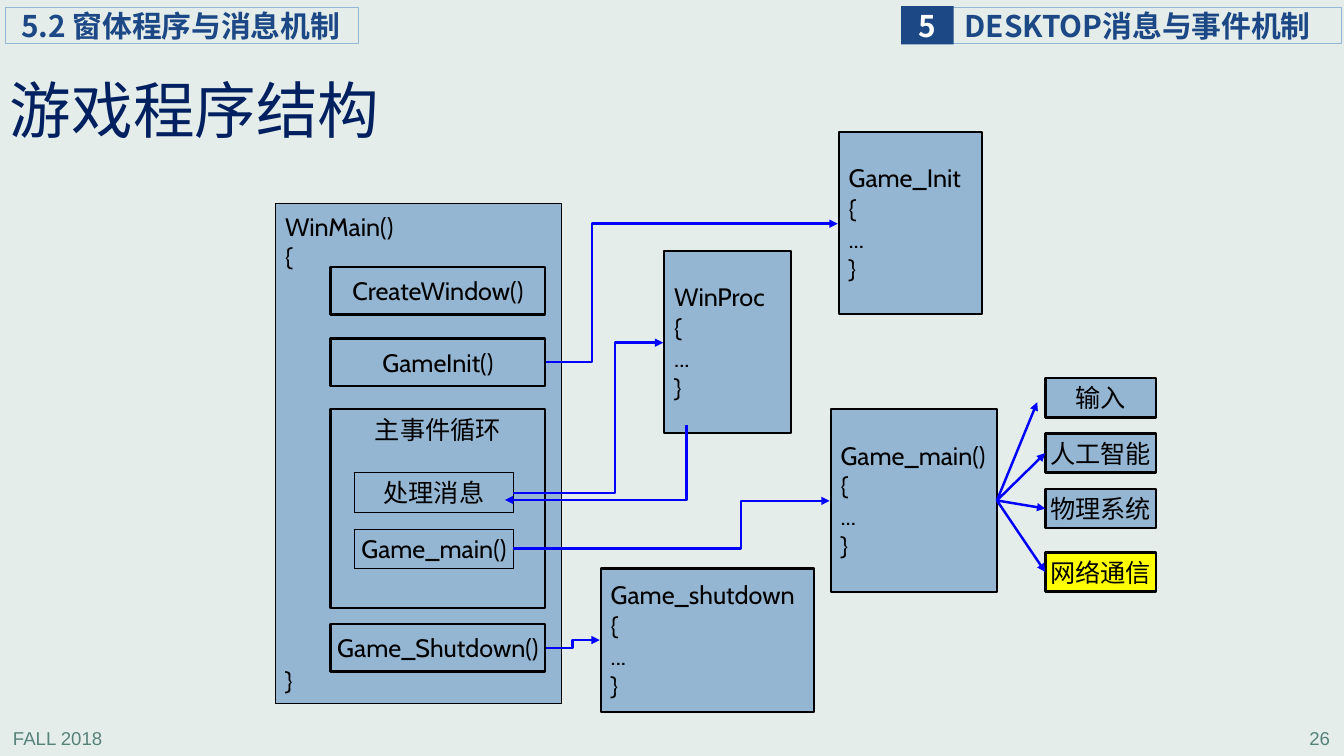
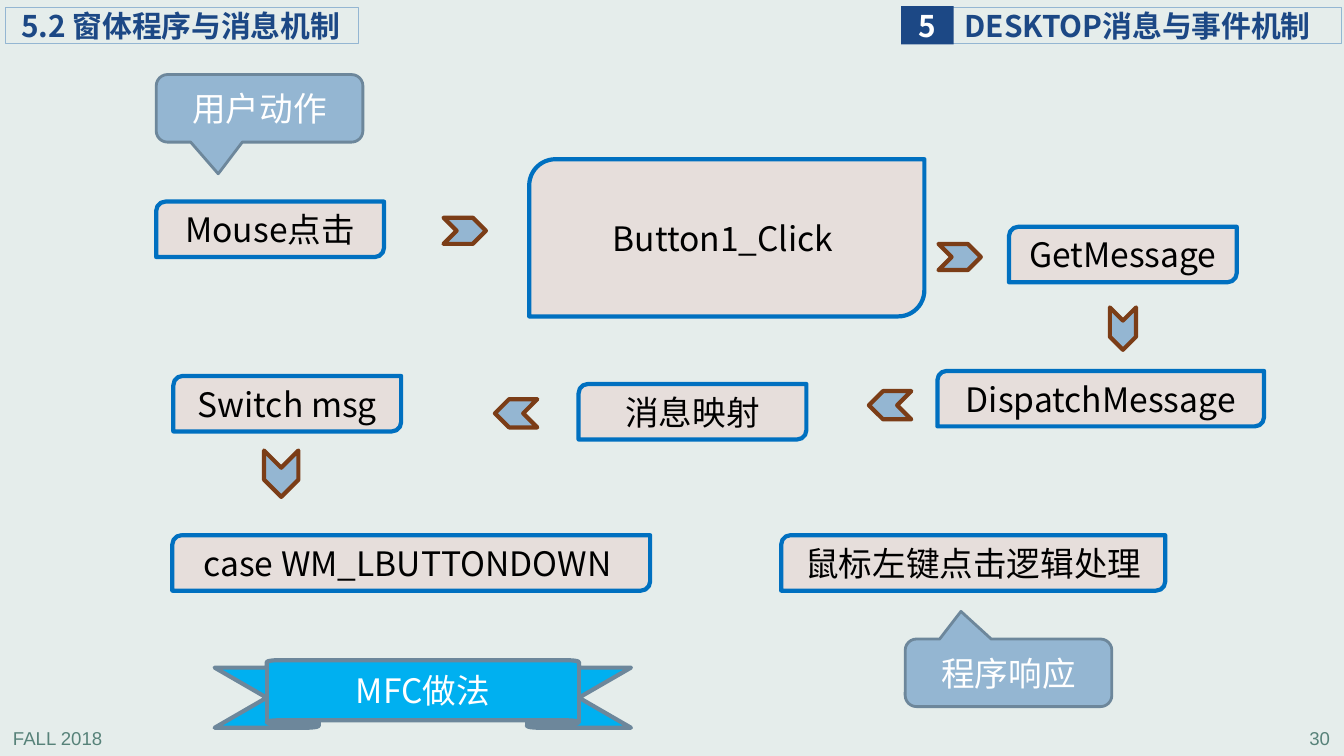
from dataclasses import dataclass
from lxml.etree import SubElement as Sub
from pptx import Presentation
from pptx.dml.color import RGBColor as RGB
from pptx.enum.shapes import MSO_CONNECTOR as Link, MSO_SHAPE as Kind
from pptx.enum.text import MSO_ANCHOR as Anchor, PP_ALIGN as Align
from pptx.oxml.ns import qn
from pptx.util import Inches, Pt

# Grid: square cells of a tenth of an inch
COLS, ROWS = 133.33, 75


@dataclass(frozen=True)
class Theme:
    page: str = "E5EDEB"
    navy: str = "1C4885"
    title: str = "002060"
    blue: str = "94B6D2"
    slate: str = "6D879B"
    foot: str = "578279"
    black: str = "000000"
    white: str = "FFFFFF"
    alert: str = "FFFF00"
    arrow: str = "0000FF"
    sand: str = "E6DEDB"
    edge: str = "0070C0"
    rust: str = "7B3D17"
    sky: str = "00B0F0"
    cjk: str = "Noto Sans CJK SC"
    code: str = "Cabin"
    sans: str = "Arial"
    small: float = 13.3
    body: float = 18
    head: float = 21.3
    step: float = 24
    big: float = 44


T = Theme()

# Shared words
TERM = "FALL 2018"
PART = "5.2 窗体程序与消息机制"
CHAP = ("5", "DESKTOP消息与事件机制")

# Game structure: cells are left, top, width, height
NAME = "游戏程序结构"
MAIN = (27.3, 20.2, 28.4, 49.6)
LOOP = ("主事件循环", 40.6, 19.7)
CALLS = [("CreateWindow()", 26.5), ("GameInit()", 33.6), ("Game_Shutdown()", 61.9)]
CALL_X, CALL_W, CALL_H = 32.8, 21.3, 4.7
TASKS = ["处理消息", "Game_main()"]
TASK_X, TASK_Y, TASK_W, TASK_H, TASK_GAP = 35.2, 46.9, 15.7, 3.9, 5.6
FUNCS = {
    "WinProc": (65.9, 24.9, 12.6, 18.1),
    "Game_Init": (83.2, 13.1, 14.2, 18.1),
    "Game_main()": (82.4, 40.6, 16.5, 18.1),
    "Game_shutdown": (59.6, 56.4, 21.2, 14.2),
}
JOBS = [("输入", 37.5), ("人工智能", 43), ("物理系统", 48.5), ("网络通信", 54.8)]
JOB_X, JOB_W, JOB_H = 103.7, 11, 3.9
FAN_TIP = (102.9, 39.9)
# Elbows: start, end, column of the turn
BENDS = [
    ((50.9, 54.4), (82.3, 49.7), 73.5),
    ((50.9, 48.9), (65.8, 34), 61),
    ((54.2, 35.9), (83.1, 22.2), 58.7),
    ((54.2, 64.3), (59.5, 63.5), 56.8),
]
BACK = ((50.1, 49.6), (68.1, 42.2))

# Message flow: text, left, top, width
STEP_W, STEP_H = 22.6, 5.5
STEPS = [
    ("Mouse点击", 15.5, 20, STEP_W),
    ("GetMessage", 100.1, 22.5, STEP_W),
    ("Switch msg", 17.2, 37.3, STEP_W),
    ("消息映射", 57.4, 38.1, STEP_W),
    ("DispatchMessage", 93, 36.8, 32.4),
    ("case WM_LBUTTONDOWN ", 17.1, 53.1, 47.4),
    ("鼠标左键点击逻辑处理", 77.5, 53.1, 38.1),
]
CLICK = ("Button1_Click ", (52.5, 15.8, 39.2, 15.6))
# Callouts: text, left, top, tip of the pointer
NOTES = [("用户动作", 15.5, 7.4, (-0.2, 0.97)), ("程序响应", 89.8, 63.4, (-0.23, -0.91))]
NOTE_W, NOTE_H = 20.5, 6.7
# Chevrons: cells, turn in degrees
MARKS = [
    ((44, 21.6, 4.2, 2.6), 0),
    ((93.1, 24.2, 4.2, 2.6), 0),
    ((109.3, 31.3, 4.2, 2.6), 90),
    ((86.2, 38.8, 4.2, 2.8), 180),
    ((49.1, 39.6, 4.2, 2.8), 180),
    ((25.6, 45.3, 4.6, 3.4), 90),
]
BADGE = ("MFC做法", (21.3, 65.5, 41.3, 6.7))


def cell(*nums):
    return [Inches(n / 10) for n in nums]


def write(shape, lines, font, size, ink, bold=False, align=Align.CENTER,
          anchor=Anchor.MIDDLE, wrap=True, inset=None):
    """Put lines of one style into a shape."""
    frame = shape.text_frame
    frame.word_wrap = wrap
    frame.vertical_anchor = anchor
    if inset is not None:
        frame.margin_left = Inches(inset)
        frame.margin_top = frame.margin_right = frame.margin_bottom = 0
    frame.text = "\n".join(lines)
    for para in frame.paragraphs:
        para.alignment = align
        para.font.size, para.font.bold = Pt(size), bold
        para.font.color.rgb = RGB.from_string(ink)
        para.font.name = font
        props = para._p.get_or_add_pPr().find(qn("a:defRPr"))
        Sub(props, qn("a:ea")).set("typeface", T.cjk)
    return frame.paragraphs


def box(slide, area, kind=Kind.RECTANGLE, fill=None, line=None, width=1, adj=()):
    shape = slide.shapes.add_shape(kind, *cell(*area))
    shape.shadow.inherit = False
    if fill:
        shape.fill.solid()
        shape.fill.fore_color.rgb = RGB.from_string(fill)
    else:
        shape.fill.background()
    if line:
        shape.line.width = Pt(width)
        shape.line.color.rgb = RGB.from_string(line)
    else:
        shape.line.fill.background()
    for i, share in enumerate(adj):
        shape.adjustments[i] = share
    return shape


def label(slide, area, *args, **opts):
    return write(slide.shapes.add_textbox(*cell(*area)), *args, **opts)


def link(slide, start, end, kind=Link.STRAIGHT, tip="tailEnd"):
    wire = slide.shapes.add_connector(kind, *cell(*start, *end))
    wire.line.width = Pt(1.75)
    wire.line.color.rgb = RGB.from_string(T.arrow)
    props = wire._element.spPr
    Sub(props.find(qn("a:ln")), qn("a:" + tip)).set("type", "triangle")
    Sub(props, qn("a:effectLst"))
    return wire


def bend(slide, start, end, turn):
    """Elbow that turns at a given column."""
    geom = link(slide, start, end, Link.ELBOW)._element.spPr.find(qn("a:prstGeom"))
    share = (turn - start[0]) / (end[0] - start[0])
    guide = Sub(geom.find(qn("a:avLst")), qn("a:gd"))
    guide.set("name", "adj1")
    guide.set("fmla", f"val {round(share * 100000)}")


def page(deck, num):
    """Blank slide with the shared header and footer."""
    slide = deck.slides.add_slide(deck.slide_layouts[6])
    wide = 27.8
    for text, left, align in [(TERM, 0.3, Align.LEFT),
                              (str(num), COLS - wide - 0.4, Align.RIGHT)]:
        label(slide, (left, 71.6, wide, 3.1), [text], T.sans, T.small, T.foot,
              align=align, anchor=Anchor.TOP)
    for text, left, width, inset in [(CHAP[1], 94.5, 38.6, 0.12), (PART, 0.5, 35.1, 0.16)]:
        band = box(slide, (left, 0.7, width, 3.6), line=T.blue, width=0.75)
        write(band, [text], T.cjk, T.head, T.navy, bold=True, align=Align.LEFT, inset=inset)
    tab = box(slide, (89.4, 0.6, 5.2, 3.8), fill=T.navy)
    write(tab, [CHAP[0]], T.cjk, T.head, T.white, bold=True, wrap=False, inset=0)
    return slide


def block(slide, area, lines, width=1.75, fill=T.blue, kind=Kind.RECTANGLE, **opts):
    shape = box(slide, area, kind, fill, T.black, width)
    return shape, write(shape, lines, T.code, T.body, T.black, wrap=False, **opts)


def game(deck):
    slide = page(deck, 26)
    title = label(slide, (0, 4, 115, 14.5), [NAME], T.cjk, T.big, T.title, align=Align.LEFT)
    title[0].line_spacing = 0.9

    # Main program and its calls
    _, paras = block(slide, MAIN, ["WinMain()", "{", "}"], 0.75,
                     kind=Kind.FLOWCHART_PROCESS, align=Align.LEFT)
    paras[-1].space_before = Pt(281)
    for text, top in CALLS:
        block(slide, (CALL_X, top, CALL_W, CALL_H), [text])
    text, top, high = LOOP
    block(slide, (CALL_X, top, CALL_W, high), [text], anchor=Anchor.TOP)
    for i, text in enumerate(TASKS):
        block(slide, (TASK_X, TASK_Y + i * TASK_GAP, TASK_W, TASK_H), [text], 0.75)

    # Functions and jobs
    funcs = {}
    for text, area in FUNCS.items():
        funcs[text], _ = block(slide, area, [text, "{", "...", "}"], 1.5, align=Align.LEFT)
    jobs = []
    for text, top in JOBS:
        fill = T.alert if text == JOBS[-1][0] else T.blue
        jobs.append(block(slide, (JOB_X, top, JOB_W, JOB_H), [text], fill=fill)[0])

    # Arrows
    for start, end, turn in BENDS:
        bend(slide, start, end, turn)
    back = link(slide, *BACK, Link.ELBOW, "headEnd")
    back._element.spPr.find(qn("a:prstGeom")).set("prst", "bentConnector2")
    for i, job in enumerate(jobs):
        wire = link(slide, FAN_TIP, FAN_TIP)
        wire.begin_connect(funcs["Game_main()"], 3)
        if i:
            wire.end_connect(job, 1)
        else:
            wire.end_x, wire.end_y = cell(*FAN_TIP)


def flow(deck):
    slide = page(deck, 30)

    # Steps
    areas = [(text, (left, top, width, STEP_H)) for text, left, top, width in STEPS]
    for text, area in [*areas, CLICK]:
        step = box(slide, area, Kind.ROUND_2_DIAG_RECTANGLE, T.sand, T.edge, 3)
        write(step, [text], T.cjk, T.step, T.black)

    # Callouts, chevrons and ribbon
    for text, left, top, tip in NOTES:
        note = box(slide, (left, top, NOTE_W, NOTE_H), Kind.ROUNDED_RECTANGULAR_CALLOUT,
                   T.blue, T.slate, 2, tip)
        write(note, [text], T.cjk, T.step, T.white)
    for area, turn in MARKS:
        box(slide, area, Kind.CHEVRON, T.blue, T.rust, 3).rotation = turn
    text, area = BADGE
    badge = box(slide, area, Kind.UP_RIBBON, T.sky, T.slate, 3, (0.11, 0.75))
    write(badge, [text], T.cjk, T.step, T.white)


def main():
    deck = Presentation()
    deck.slide_width, deck.slide_height = cell(COLS, ROWS)
    back = deck.slide_master.background.fill
    back.solid()
    back.fore_color.rgb = RGB.from_string(T.page)
    game(deck)
    flow(deck)
    deck.save("out.pptx")


if __name__ == "__main__":
    main()
